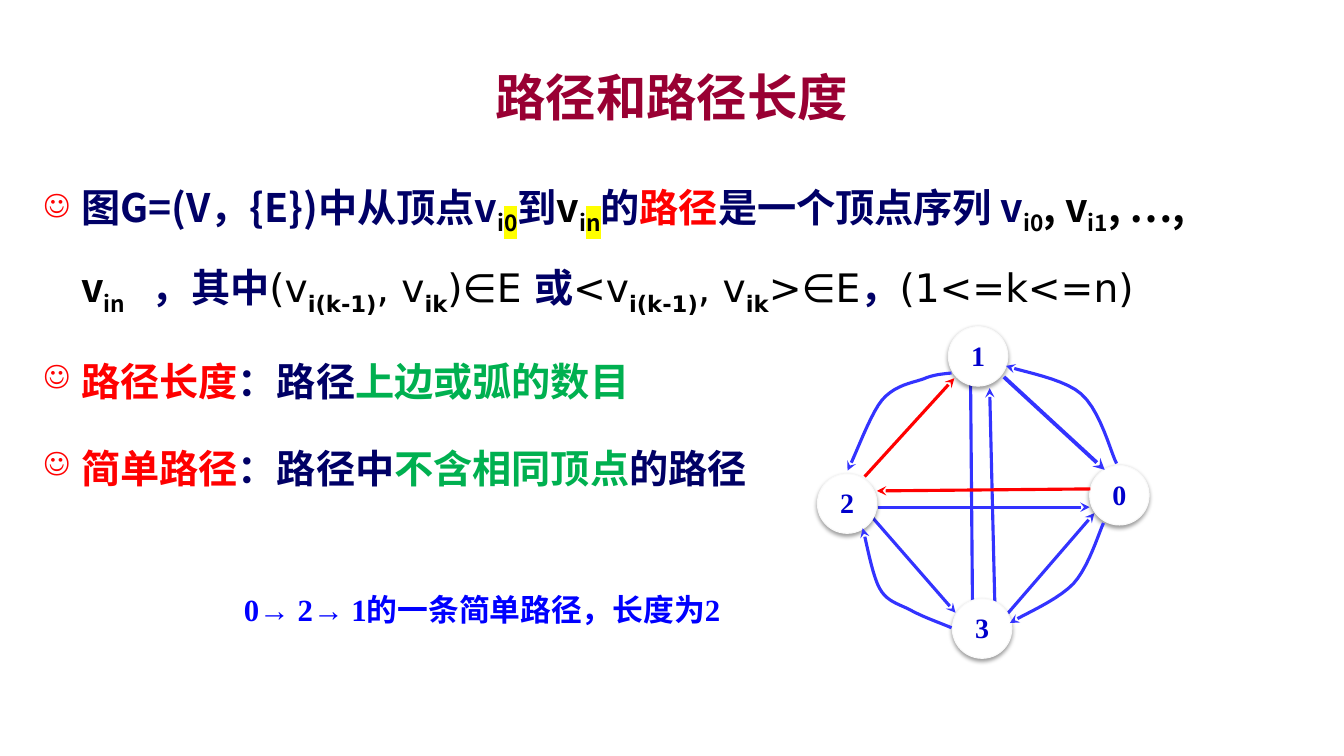
from lxml import etree
from pptx import Presentation, util as u
from pptx.dml.color import RGBColor
from pptx.enum import shapes, text
from pptx.oxml.ns import qn

# Content
COLOURS = {"wine": "990033", "navy": "000066", "black": "000000", "red": "FF0000",
           "green": "00B050", "yellow": "FFFF00", "edge": "3333FF", "digit": "0000CC",
           "caption": "0000FF", "white": "FFFFFF", "rim": "F9F9F9"}
SANS, MATH, SERIF = "Noto Sans CJK SC", "DejaVu Sans", "Times New Roman"

# Style: font, size, colour, bold, subscript, highlighted
STYLES = {
    "title": (SANS, 36, "wine", True, False, False),
    "navy": (SANS, 28, "navy", True, False, False),
    "black": (SANS, 28, "black", True, False, False),
    "red": (SANS, 28, "red", True, False, False),
    "green": (SANS, 28, "green", True, False, False),
    "sub": (SANS, 28, "black", True, True, False),
    "mark": (SANS, 28, "black", True, True, True),
    "math": (MATH, 28, "black", False, False, False),
    "mathsub": (MATH, 28, "black", True, True, False),
    "digit": (SERIF, 20, "digit", True, False, False),
    "caption": (SERIF, 22, "caption", True, False, False),
}
TITLE = [("路径和路径长度", "title")]
CAPTION = [("0→ 2→ 1的一条简单路径，长度为2", "caption")]
BULLETS = [
    [("图G=(V，{E})中从顶点v", "navy"), ("i", "sub"), ("0", "mark"), ("到", "navy"),
     ("v", "black"), ("i", "sub"), ("n", "mark"), ("的", "navy"), ("路径", "red"),
     ("是一个顶点序列 v", "navy"), ("i0", "sub"), (", v", "black"), ("i1", "sub"),
     (", …, v", "black"), ("in", "sub"), ("   ，其中", "navy"),
     ("(v", "math"), ("i(k-1)", "mathsub"), (", v", "math"), ("ik", "mathsub"),
     (")∈E ", "math"), ("或", "navy"),
     ("<v", "math"), ("i(k-1)", "mathsub"), (", v", "math"), ("ik", "mathsub"),
     (">∈E", "math"), ("，", "navy"), ("(1<=k<=n)", "math")],
    [("路径长度", "red"), ("：路径", "navy"), ("上边或弧的数目", "green")],
    [("简单路径", "red"), ("：路径中", "navy"), ("不含相同顶点", "green"), ("的路径", "navy")],
]

# Graph, in cm: node centres, straight edges (start, end, colour, width, arrowhead)
NODE_SIZE = 1.5
NODES = {"1": (24.65, 8.98), "0": (28.21, 12.48), "2": (21.35, 12.69), "3": (24.75, 15.84)}
EDGES_BEHIND = [
    ((24.46, 9.7), (24.51, 15.54), "edge", 2.25, "arrow"),
    ((25.1, 16.43), (24.94, 9.78), "edge", 2.25, "stealth"),
    ((22.12, 12.78), (27.46, 12.78), "edge", 2.25, "stealth"),
    ((21.49, 12.47), (24.08, 15.44), "edge", 2.25, "stealth"),
    ((25.1, 15.8), (27.58, 12.93), "edge", 2.25, "stealth"),
]
EDGES_FRONT = [
    ((27.48, 12.32), (22.1, 12.37), "red", 2.25, "stealth"),
    ((21.79, 12.01), (24.05, 9.53), "red", 2.25, "stealth"),
    ((25.3, 9.5), (27.84, 11.84), "edge", 2.75, "stealth"),
]
# Curved edges: a start, then two controls and an end per Bezier segment
ARCS = [
    [(27.81, 13.18), (27.69, 13.44), (27.43, 14.3), (27.05, 14.71),
     (26.64, 15.14), (25.78, 15.49), (25.45, 15.7)],
    [(23.98, 9.4), (23.85, 9.42), (23.57, 9.42), (23.27, 9.55), (22.99, 9.65),
     (22.56, 9.7), (22.23, 10.08), (21.92, 10.46), (21.56, 11.48), (21.36, 11.86)],
    [(23.98, 15.82), (23.75, 15.72), (23.24, 15.54), (22.94, 15.37), (22.63, 15.21),
     (22.35, 15.16), (22.17, 14.83), (21.97, 14.48), (21.82, 13.56), (21.74, 13.31)],
    [(28.14, 11.68), (27.99, 11.4), (27.74, 10.36), (27.25, 9.93),
     (26.8, 9.53), (25.75, 9.37), (25.35, 9.22)],
]
STEPS = 10


def colour(name):
    return RGBColor.from_string(COLOURS[name])


def child(parent, tag, **attributes):
    return etree.SubElement(parent, qn(tag), attributes)


def add_spans(para, runs):
    for words, style in runs:
        font, size, tint, bold, subscript, marked = STYLES[style]
        span = para.add_run()
        span.text = words
        span.font.size, span.font.bold = u.Pt(size), bold
        span.font.color.rgb = colour(tint)
        props = span.font._element
        if subscript:
            props.set("baseline", "-25000")
        if marked:
            child(child(props, "a:highlight"), "a:srgbClr", val=COLOURS["yellow"])
        span.font.name = font
        child(props, "a:ea", typeface=SANS if font == SERIF else font)


def add_box(page, left, top, width, height):
    box = page.shapes.add_textbox(u.Cm(left), u.Cm(top), u.Cm(width), u.Cm(height))
    box.text_frame.word_wrap = True
    return box.text_frame


def add_bullet(para):
    para.line_spacing = 1.5
    para.space_before = para.space_after = u.Pt(6)
    props = para._p.get_or_add_pPr()
    props.set("marL", str(u.Cm(0.95)))
    props.set("indent", str(-u.Cm(0.95)))
    child(child(props, "a:buClr"), "a:srgbClr", val=COLOURS["red"])
    child(props, "a:buSzPct", val="80000")
    child(props, "a:buChar", char="☺")


def style_edge(edge, tint, width, head):
    edge.line.color.rgb = colour(tint)
    edge.line.width = u.Pt(width)
    child(edge.line._get_or_add_ln(), "a:tailEnd", type=head)


def add_edge(page, start, end, tint, width, head):
    ends = [u.Cm(value) for value in start + end]
    edge = page.shapes.add_connector(shapes.MSO_CONNECTOR.STRAIGHT, *ends)
    style_edge(edge, tint, width, head)
    child(edge._element.spPr, "a:effectLst")


def bezier(points, t):
    weights = ((1 - t) ** 3, 3 * t * (1 - t) ** 2, 3 * t ** 2 * (1 - t), t ** 3)
    return tuple(u.Cm(sum(w * p[axis] for w, p in zip(weights, points))) for axis in (0, 1))


def add_arc(page, points):
    outline = [bezier(points[first:first + 4], step / STEPS)
               for first in range(0, len(points) - 1, 3) for step in range(1, STEPS + 1)]
    builder = page.shapes.build_freeform(*(u.Cm(value) for value in points[0]))
    builder.add_line_segments(outline, close=False)
    arc = builder.convert_to_shape()
    arc.fill.background()
    arc.shadow.inherit = False
    style_edge(arc, "edge", 2.25, "stealth")


def add_node(page, label, centre):
    left, top = (u.Cm(value - NODE_SIZE / 2) for value in centre)
    size = u.Cm(NODE_SIZE)
    node = page.shapes.add_shape(shapes.MSO_SHAPE.OVAL, left, top, size, size)
    node.fill.solid()
    node.fill.fore_color.rgb = colour("white")
    node.line.color.rgb = colour("rim")
    node.line.width = u.Pt(0.75)
    node.shadow.inherit = False
    effects = node._element.spPr.find(qn("a:effectLst"))
    shade = child(effects, "a:outerShdw", blurRad=str(u.Pt(3.1)), dist=str(u.Pt(1.6)),
                  dir="5400000", rotWithShape="0")
    child(child(shade, "a:srgbClr", val=COLOURS["black"]), "a:alpha", val="38000")
    frame = node.text_frame
    frame.margin_left = frame.margin_right = frame.margin_bottom = 0
    frame.margin_top = u.Cm(0.3)
    frame.vertical_anchor = text.MSO_ANCHOR.TOP
    para = frame.paragraphs[0]
    para.alignment = text.PP_ALIGN.CENTER
    para.line_spacing = 0.72
    add_spans(para, [(label, "digit")])


def main():
    deck = Presentation()
    deck.slide_width, deck.slide_height = u.Cm(33.87), u.Cm(19.05)
    page = deck.slides.add_slide(deck.slide_layouts[6])

    # Title
    frame = add_box(page, 2.54, 1.47, 28.78, 1.91)
    frame.vertical_anchor = text.MSO_ANCHOR.MIDDLE
    frame.paragraphs[0].alignment = text.PP_ALIGN.CENTER
    add_spans(frame.paragraphs[0], TITLE)

    # Definitions
    frame = add_box(page, 0.85, 3.81, 32.17, 8.89)
    for index, runs in enumerate(BULLETS):
        para = frame.add_paragraph() if index else frame.paragraphs[0]
        add_bullet(para)
        add_spans(para, runs)

    # Graph
    for edge in EDGES_BEHIND:
        add_edge(page, *edge)
    for label, centre in NODES.items():
        add_node(page, label, centre)
    for points in ARCS:
        add_arc(page, points)
    for edge in EDGES_FRONT:
        add_edge(page, *edge)

    # Caption
    frame = add_box(page, 5.51, 14.76, 13.28, 1.19)
    frame.paragraphs[0].alignment = text.PP_ALIGN.CENTER
    add_spans(frame.paragraphs[0], CAPTION)

    deck.save("out.pptx")


if __name__ == "__main__":
    main()
